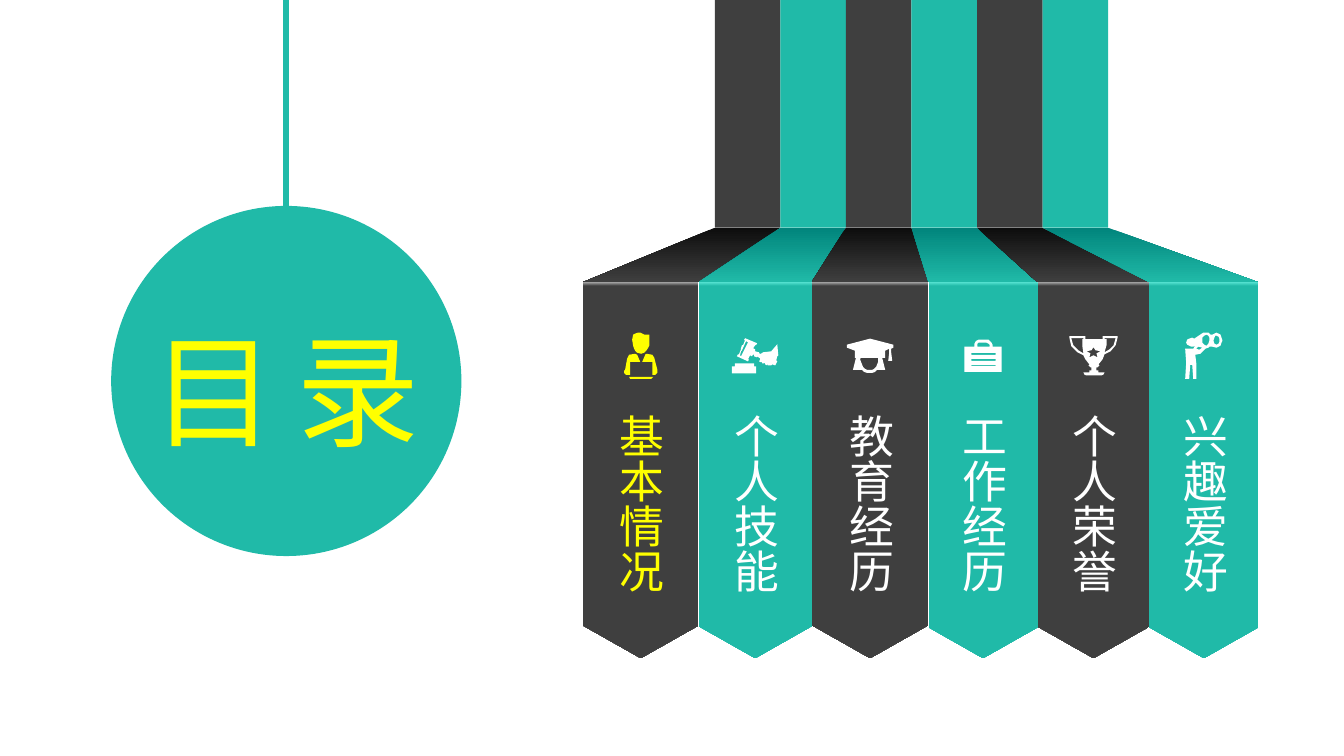
from dataclasses import dataclass
from itertools import pairwise

from lxml.etree import SubElement
from pptx import Presentation
from pptx.dml.color import RGBColor as RGB
from pptx.enum.shapes import MSO_CONNECTOR as CONN, MSO_SHAPE as SHAPE
from pptx.enum.text import MSO_ANCHOR as ANCHOR, MSO_AUTO_SIZE as AUTO
from pptx.oxml.ns import qn
from pptx.util import Inches, Pt


@dataclass(frozen=True)
class Theme:
    """Colours, font and type sizes of the deck."""
    teal: str = "20BAA8"
    teal_shade: str = "01857C"
    teal_glint: str = "54E2D1"
    grey: str = "3F3F3F"
    grey_shade: str = "0D0D0D"
    grey_glint: str = "A6A6A6"
    active: str = "FFFF00"
    white: str = "FFFFFF"
    font: str = "Noto Sans CJK SC"
    title_size: int = 88
    label_size: int = 32


THEME = Theme()
DARK = (THEME.grey, THEME.grey_shade, THEME.grey_glint)
LIGHT = (THEME.teal, THEME.teal_shade, THEME.teal_glint)

# Icon outlines in hundredths of an inch; "|" separates contours.
PERSON = (
    "5,44 29,44 27,46 6,46 | 11,21 13,22 16,29 6,29 6,42 2,42 1,41 0,40 0,38 1,37 3,26 5,22 | "
    "22,21 28,22 30,25 33,37 33,40 31,42 28,42 28,29 18,29 21,22 | "
    "14,0 16,0 18,1 20,2 25,2 25,13 24,15 22,18 20,20 17,21 13,20 11,18 10,16 9,13 8,7 9,2 11,1")
GAVEL = (
    "3,25 22,25 22,28 24,28 24,35 0,35 0,28 3,28 | 14,3 10,12 9,13 8,17 9,18 11,14 12,12 16,4 | "
    "13,0 25,5 24,7 23,7 21,10 23,11 23,13 27,14 27,15 30,16 29,15 31,14 39,13 45,6 46,17 45,18 "
    "44,22 45,23 44,25 43,27 40,26 39,27 36,27 36,25 35,27 33,26 33,24 32,25 30,25 30,23 29,24 "
    "27,23 28,21 28,20 25,18 25,19 22,18 22,17 21,16 20,18 18,17 16,21 17,21 16,23 5,18 6,16 "
    "7,16 9,11 9,10 10,7 11,7 13,2 12,2")
GRADUATE = (
    "14,19 13,20 14,23 16,28 18,30 20,31 25,31 27,30 29,28 31,23 31,19 | "
    "23,0 46,6 46,9 44,10 44,14 45,22 41,22 42,14 42,10 38,12 38,19 35,19 38,31 30,31 28,33 "
    "25,34 20,34 17,33 15,31 6,31 9,19 8,19 8,12 0,9 0,6")
BRIEFCASE = (
    "7,25 7,26 31,26 31,25 | 7,19 7,21 31,21 31,19 | 7,13 7,15 31,15 31,13 | "
    "15,3 14,3 13,4 13,7 25,7 25,5 24,4 22,3 | "
    "15,0 24,0 25,1 27,3 28,5 28,7 37,7 37,32 0,32 0,7 10,7 10,4 11,2 12,1 14,0")
TROPHY = (
    "35,0 33,0 33,3 16,3 16,0 0,0 0,1 2,10 8,16 14,19 16,23 20,28 19,29 21,31 22,31 22,34 "
    "20,34 20,36 14,36 15,38 17,39 32,39 34,38 35,36 29,36 29,34 27,34 27,31 28,31 30,29 29,28 "
    "33,23 35,18 41,15 46,9 48,1 48,0 | 14,3 13,3 13,10 14,17 9,14 4,9 2,2 14,2 | "
    "27,17 28,21 24,19 20,21 21,17 17,15 22,14 24,11 26,14 31,15 | "
    "44,9 40,13 35,16 37,9 37,3 35,3 35,2 46,2")
LOOKOUT = (
    "13,14 17,15 14,17 11,16 | 31,3 33,4 34,6 34,9 33,11 31,12 29,11 28,8 29,5 30,3 | "
    "21,2 23,3 24,5 24,8 23,11 21,13 19,12 17,10 17,5 19,3 | "
    "21,0 18,0 9,6 7,5 4,6 2,7 1,10 2,12 4,13 6,14 8,14 10,13 8,16 0,16 1,30 0,46 4,46 5,32 "
    "7,32 8,46 11,46 11,30 10,22 15,21 20,16 23,15 24,14 27,14 31,15 35,13 36,10 37,8 36,5 "
    "35,2 33,1 31,0 27,2 25,2 23,0")

CHAPTERS = [("基本情况", PERSON), ("个人技能", GAVEL), ("教育经历", GRADUATE),
            ("工作经历", BRIEFCASE), ("个人荣誉", TROPHY), ("兴趣爱好", LOOKOUT)]
BANNER_WIDTHS = [1.15, 1.12, 1.16, 1.08, 1.11, 1.08]


def paint(sp, color):
    """Give a shape a plain fill without line or shadow."""
    sp.shadow.inherit = False
    sp.line.fill.background()
    sp.fill.solid()
    sp.fill.fore_color.rgb = RGB.from_string(color)


def paint_gradient(sp, start, end, angle, end_at=1.0):
    """Give a shape a two-stop gradient that ends at end_at."""
    paint(sp, end)
    sp.fill.gradient()
    sp.fill.gradient_angle = angle
    for stop, color, position in zip(sp.fill.gradient_stops, (start, end), (0, end_at)):
        stop.color.rgb = RGB.from_string(color)
        stop.position = position


def add_outline(s, contours, x, y, unit=1.0):
    """Draw closed contours, measured in units of inches from x, y."""
    scale = Inches(unit) / 1000
    points = [[(px * 1000, py * 1000) for px, py in contour] for contour in contours]
    pen = s.shapes.build_freeform(*points[0][0], scale=scale)
    pen.add_line_segments(points[0][1:], close=True)
    for contour in points[1:]:
        pen.move_to(*contour[0])
        pen.add_line_segments(contour[1:], close=True)
    return pen.convert_to_shape(Inches(x), Inches(y))


def add_label(s, text, x, y, w, h, size, color, vertical=False):
    """Add an unwrapped, vertically centred label."""
    tf = s.shapes.add_textbox(Inches(x), Inches(y), Inches(w), Inches(h)).text_frame
    tf.text = text
    tf.word_wrap = False
    tf.auto_size = AUTO.SHAPE_TO_FIT_TEXT
    tf.vertical_anchor = ANCHOR.MIDDLE
    if vertical:
        tf._txBody.bodyPr.set("vert", "eaVert")
    r = tf.paragraphs[0].runs[0]
    r.font.size = Pt(size)
    r.font.name = THEME.font
    r.font.color.rgb = RGB.from_string(color)
    SubElement(r._r.get_or_add_rPr(), qn("a:ea"), typeface=THEME.font)


def add_icon(s, outline, cx, cy, color):
    """Draw an icon centred on cx, cy."""
    contours = [[tuple(map(int, pair.split(","))) for pair in part.split()]
                for part in outline.split("|")]
    xs, ys = zip(*(point for contour in contours for point in contour))
    paint(add_outline(s, contours, cx - max(xs) / 200, cy - max(ys) / 200, 0.01), color)


def add_title_disc(s, x, y, size):
    """Hang the round title disc from the top edge on a cord."""
    middle = Inches(x + size / 2)
    cord = s.shapes.add_connector(CONN.STRAIGHT, middle, 0, middle, Inches(y + 0.7))
    cord.line.color.rgb = RGB.from_string(THEME.teal)
    cord.line.width = Pt(4.5)
    SubElement(cord._element.spPr, qn("a:effectLst"))
    disc = s.shapes.add_shape(SHAPE.OVAL, Inches(x), Inches(y), Inches(size), Inches(size))
    paint(disc, THEME.teal)
    disc.line.color.rgb = RGB.from_string(THEME.teal)
    disc.line.width = Pt(1)
    for i, char in enumerate("目录"):
        add_label(s, char, x + 0.3 + 1.43 * i, y + 1.01, 1.44, 1.58,
                  THEME.title_size, THEME.active)


def add_ribbon(s, strip, banner, fold_top, fold_bottom, bottom, colors):
    """Draw one ribbon: upright strip, slanted fold and pointed banner."""
    base, shade, glint = colors
    (s0, s1), (b0, b1) = strip, banner
    sp = s.shapes.add_shape(SHAPE.RECTANGLE, Inches(s0), 0, Inches(s1 - s0), Inches(fold_top))
    paint(sp, base)
    fold = [(s0, fold_top), (s1, fold_top), (b1, fold_bottom), (b0, fold_bottom)]
    paint_gradient(add_outline(s, [fold], 0, 0), shade, base, 270)
    length, width = bottom - fold_bottom, b1 - b0
    sp = s.shapes.add_shape(
        SHAPE.PENTAGON, Inches((b0 + b1 - length) / 2),
        Inches((fold_bottom + bottom - width) / 2), Inches(length), Inches(width))
    sp.rotation = 90
    sp.adjustments[0] = 0.283
    paint_gradient(sp, glint, base, 0, 0.01)


def add_chapters(s, x, fold_top, fold_bottom, bottom):
    """Draw the row of chapter ribbons with their icons and labels."""
    strip_edges = [x + 1.31 + 0.65 * i for i in range(len(CHAPTERS) + 1)]
    banner_edges = [x + sum(BANNER_WIDTHS[:i]) for i in range(len(CHAPTERS) + 1)]
    columns = zip(CHAPTERS, pairwise(strip_edges), pairwise(banner_edges))
    for i, ((name, icon), strip, banner) in enumerate(columns):
        add_ribbon(s, strip, banner, fold_top, fold_bottom, bottom, LIGHT if i % 2 else DARK)
        color = THEME.white if i else THEME.active
        cx = sum(banner) / 2
        add_icon(s, icon, cx, fold_bottom + 0.73, color)
        add_label(s, name, cx - 0.37, fold_bottom + 1.21, 0.74, 1.9,
                  THEME.label_size, color, vertical=True)


def add_contents_slide(prs):
    """Add the contents slide."""
    s = prs.slides.add_slide(prs.slide_layouts[6])
    add_title_disc(s, 1.11, 2.05, 3.46)
    add_chapters(s, 5.78, 2.26, 2.8, 6.53)


prs = Presentation()
prs.slide_width, prs.slide_height = Inches(13.33), Inches(7.5)
add_contents_slide(prs)
prs.save("out.pptx")
